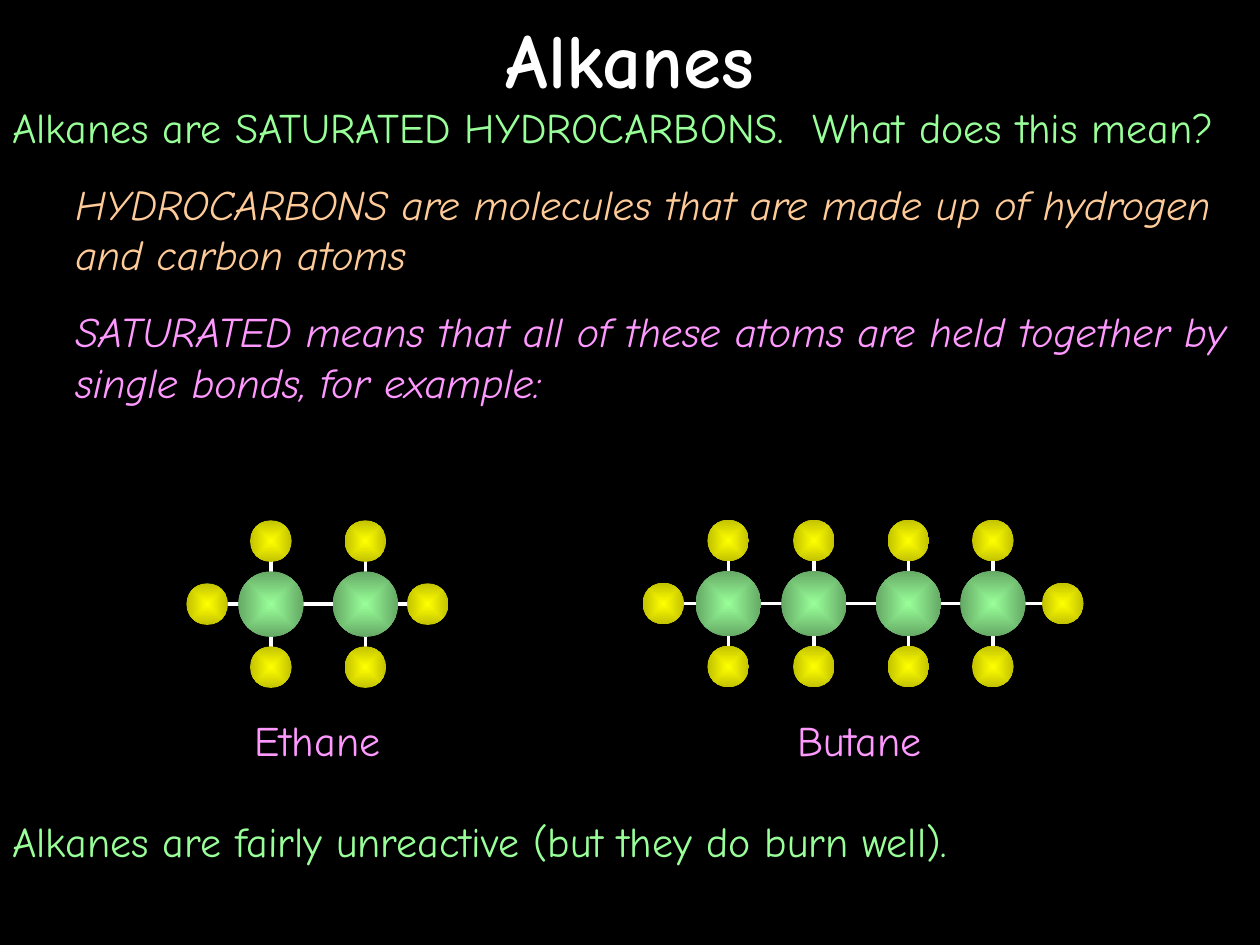
from dataclasses import dataclass

from lxml.etree import SubElement
from pptx import Presentation
from pptx.dml.color import RGBColor
from pptx.enum.shapes import MSO_CONNECTOR, MSO_SHAPE
from pptx.enum.text import MSO_ANCHOR, MSO_AUTO_SIZE, PP_ALIGN
from pptx.oxml import parse_xml
from pptx.oxml.ns import nsdecls, qn
from pptx.shapes.group import GroupShape
from pptx.util import Emu, Inches, Pt

CELL = Inches(0.25)
COLUMNS, ROWS = 40, 30
FONT = "Comic Neue"
BLACK, WHITE = "000000", "FFFFFF"
GREEN, PEACH, PINK = "99FF99", "FFCC99", "FF99FF"
BOND_REACH = 2
LABEL_WIDTH, LABEL_HEIGHT, LABEL_DROP = 6.32, 2, 3.32


@dataclass(frozen=True)
class Atom:
    diameter: float
    core: str
    rim: str


@dataclass(frozen=True)
class Molecule:
    label: str
    carbons: tuple[float, ...]
    ends: tuple[float, float]
    row: float
    label_centre: float


@dataclass(frozen=True)
class Statement:
    words: str
    colour: str
    size: float = 24
    bold: bool = False
    italic: bool = False
    indented: bool = False


CARBON = Atom(2.08, GREEN, "65A865")
HYDROGEN = Atom(1.32, "FFFF00", "C2C200")

MOLECULES = (
    Molecule("Ethane", (8.6, 11.6), (6.58, 13.58), 19.18, 10.08),
    Molecule("Butane", (23.12, 25.84, 28.84, 31.52), (21.06, 33.74), 19.16, 27.28),
)

TITLE = Statement("Alkanes", WHITE, size=44, bold=True)
DEFINITIONS = (
    Statement("Alkanes are SATURATED HYDROCARBONS.  What does this mean?", GREEN),
    Statement(
        "HYDROCARBONS are molecules that are made up of hydrogen and carbon atoms",
        PEACH, italic=True, indented=True,
    ),
    Statement(
        "SATURATED means that all of these atoms are held together by single bonds, "
        "for example:",
        PINK, italic=True, indented=True,
    ),
)
REACTIVITY = Statement("Alkanes are fairly unreactive (but they do burn well).", GREEN)


def grid(cells: float) -> Emu:
    return Emu(round(cells * CELL))


def colour(value: str) -> RGBColor:
    return RGBColor.from_string(value)


def write(shapes, statements: tuple[Statement, ...], left: float, top: float,
          width: float, height: float, align=PP_ALIGN.LEFT,
          anchor=MSO_ANCHOR.TOP, grow: bool = True) -> None:
    box = shapes.add_textbox(grid(left), grid(top), grid(width), grid(height))
    frame = box.text_frame
    frame.word_wrap = True
    frame.vertical_anchor = anchor
    frame.auto_size = MSO_AUTO_SIZE.SHAPE_TO_FIT_TEXT if grow else MSO_AUTO_SIZE.NONE
    for index, statement in enumerate(statements):
        paragraph = frame.add_paragraph() if index else frame.paragraphs[0]
        paragraph.alignment = align
        if index:
            paragraph.space_before = Pt(15)
        if statement.indented:
            paragraph.level = 1
            properties = paragraph._p.get_or_add_pPr()
            properties.set("marL", str(grid(2)))
            properties.set("indent", "0")
        run = paragraph.add_run()
        run.text = statement.words
        run.font.name = FONT
        run.font.size = Pt(statement.size)
        run.font.bold = statement.bold
        run.font.italic = statement.italic
        run.font.color.rgb = colour(statement.colour)


def draw_bond(group: GroupShape, x1: float, y1: float, x2: float, y2: float) -> None:
    bond = group.shapes.add_connector(
        MSO_CONNECTOR.STRAIGHT, grid(x1), grid(y1), grid(x2), grid(y2)
    )
    bond.line.color.rgb = colour(WHITE)
    bond.line.width = Pt(2)
    SubElement(bond._element.spPr, qn("a:effectLst"))


def draw_atom(group: GroupShape, atom: Atom, x: float, y: float) -> None:
    radius = atom.diameter / 2
    ball = group.shapes.add_shape(
        MSO_SHAPE.OVAL, grid(x - radius), grid(y - radius),
        grid(atom.diameter), grid(atom.diameter),
    )
    ball.shadow.inherit = False
    ball.line.fill.background()
    ball.fill.solid()
    properties = ball._element.spPr
    glow = parse_xml(
        f'<a:gradFill {nsdecls("a")} rotWithShape="0"><a:gsLst>'
        f'<a:gs pos="0"><a:srgbClr val="{atom.core}"/></a:gs>'
        f'<a:gs pos="100000"><a:srgbClr val="{atom.rim}"/></a:gs></a:gsLst>'
        '<a:path path="rect"><a:fillToRect l="50000" t="50000" r="50000" b="50000"/>'
        '</a:path></a:gradFill>'
    )
    properties.replace(properties.find(qn("a:solidFill")), glow)


def draw_molecule(slide, molecule: Molecule) -> None:
    group = slide.shapes.add_group_shape()
    row = molecule.row
    above, below = row - BOND_REACH, row + BOND_REACH
    for column in molecule.carbons:
        draw_bond(group, column, above, column, below)
    first, last = molecule.ends
    draw_bond(group, first, row, last, row)
    for column in molecule.carbons:
        draw_atom(group, CARBON, column, row)
        draw_atom(group, HYDROGEN, column, above)
        draw_atom(group, HYDROGEN, column, below)
    for column in molecule.ends:
        draw_atom(group, HYDROGEN, column, row)
    write(group.shapes, (Statement(molecule.label, PINK),),
          molecule.label_centre - LABEL_WIDTH / 2, row + LABEL_DROP,
          LABEL_WIDTH, LABEL_HEIGHT, PP_ALIGN.CENTER)


def main() -> None:
    presentation = Presentation()
    presentation.slide_width = grid(COLUMNS)
    presentation.slide_height = grid(ROWS)
    slide = presentation.slides.add_slide(presentation.slide_layouts[6])
    slide.background.fill.solid()
    slide.background.fill.fore_color.rgb = colour(BLACK)
    write(slide.shapes, (TITLE,), 0, 0, COLUMNS, 3.64,
          PP_ALIGN.CENTER, MSO_ANCHOR.MIDDLE, grow=False)
    write(slide.shapes, DEFINITIONS, 0, 3.04, COLUMNS, 10.08)
    for molecule in MOLECULES:
        draw_molecule(slide, molecule)
    write(slide.shapes, (REACTIVITY,), 0, 25.68, COLUMNS, 2)
    presentation.save("out.pptx")


if __name__ == "__main__":
    main()
